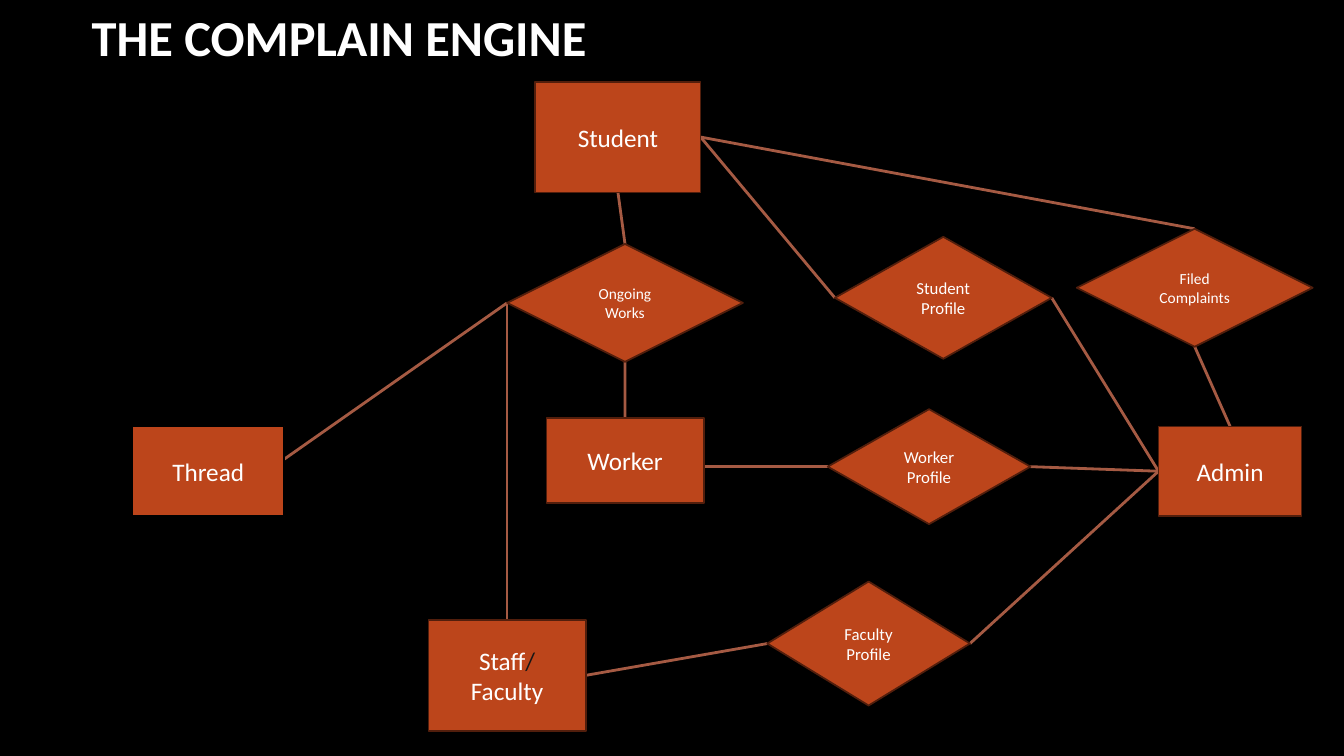
from pptx import Presentation
from pptx.dml.color import RGBColor
from pptx.enum.shapes import MSO_CONNECTOR, MSO_SHAPE
from pptx.enum.text import MSO_ANCHOR, PP_ALIGN
from pptx.oxml.ns import qn
from pptx.util import Inches, Pt
from lxml import etree

RECT, DIAMOND = MSO_SHAPE.RECTANGLE, MSO_SHAPE.DIAMOND
STRAIGHT = MSO_CONNECTOR.STRAIGHT
CENTER, MIDDLE = PP_ALIGN.CENTER, MSO_ANCHOR.MIDDLE
TOP, LEFT, BOTTOM, RIGHT = range(4)
TITLE_ONLY = 5

# Content: boxes are left, top, width, height in percent of the slide
TITLE = "THE COMPLAIN ENGINE"
TITLE_BOX = (-11.4, 0.13, 73.29, 9.47)

ENTITIES = {
    "Admin": (["Admin"], (86.2, 56.4, 10.65, 11.87)),
    "Worker": (["Worker"], (40.66, 55.33, 11.7, 11.2)),
    "Staff": (["Staff/", "Faculty"], (31.88, 82, 11.7, 14.67)),
    "Student": (["Student"], (39.83, 10.8, 12.3, 14.67)),
    "Thread": (["Thread"], (9.83, 56.4, 11.33, 11.87)),
}
RELATIONS = {
    "Filed": (["Filed", "Complaints"], (80.12, 30.27, 17.55, 15.6)),
    "Ongoing": (["Ongoing", "Works"], (37.73, 32.27, 17.55, 15.6)),
    "Student Profile": (["Student Profile"], (62.12, 31.33, 16.13, 16.13)),
    "Worker Profile": (["Worker Profile"], (61.59, 54.13, 15.08, 15.2)),
    "Faculty Profile": (["Faculty Profile"], (57.09, 76.93, 15.08, 16.4)),
}

# Each end is a (shape, side) pair, or a free point in percent of the slide
LINKS = [
    (("Ongoing", LEFT), (20.78, 61.2)),
    (("Ongoing", LEFT), ("Staff", TOP)),
    (("Student", BOTTOM), ("Ongoing", TOP)),
    (("Ongoing", BOTTOM), ("Worker", TOP)),
    (("Filed", TOP), ("Student", RIGHT)),
    (("Filed", BOTTOM), ("Admin", TOP)),
    (("Student", RIGHT), ("Student Profile", LEFT)),
    (("Student Profile", RIGHT), ("Admin", LEFT)),
    ((52.14, 61.73), ("Worker Profile", LEFT)),
    (("Worker Profile", RIGHT), ("Admin", LEFT)),
    (("Staff", RIGHT), ("Faculty Profile", LEFT)),
    (("Faculty Profile", RIGHT), ("Admin", LEFT)),
]


class Theme:
    font = "Calibri"
    back = RGBColor(0x00, 0x00, 0x00)
    text = RGBColor(0xFF, 0xFF, 0xFF)
    slash = RGBColor(0x16, 0x16, 0x16)
    fill = RGBColor(0xBC, 0x45, 0x1B)
    edge = RGBColor(0x52, 0x1E, 0x0C)
    link = RGBColor(0xA5, 0x5A, 0x43)
    title_size, entity_size, profile_size, small_size = 36, 18, 12, 11
    edge_width, link_width = 1.25, 2


prs = Presentation()
prs.slide_width, prs.slide_height = Inches(13.33), Inches(7.5)
s = prs.slides.add_slide(prs.slide_layouts[TITLE_ONLY])
s.background.fill.solid()
s.background.fill.fore_color.rgb = Theme.back


def place(shares):
    """Turn percentages into lengths, alternating across and down."""
    sides = (prs.slide_width, prs.slide_height) * 2
    return [round(side * share / 100) for share, side in zip(shares, sides)]


def write(tf, lines, size, bold=False):
    tf.word_wrap, tf.vertical_anchor = True, MIDDLE
    for i, line in enumerate(lines):
        p = tf.paragraphs[0] if i == 0 else tf.add_paragraph()
        p.alignment = CENTER
        word, slash, _ = line.partition("/")
        for text, color in ((word, Theme.text), (slash, Theme.slash)):
            if text:
                r = p.add_run()
                r.text = text
                r.font.name, r.font.size, r.font.bold = Theme.font, Pt(size), bold
                r.font.color.rgb = color


def add_node(kind, lines, box, size, edge):
    sp = s.shapes.add_shape(kind, *place(box))
    sp.shadow.inherit = False
    sp.fill.solid()
    sp.fill.fore_color.rgb = Theme.fill
    sp.line.color.rgb, sp.line.width = edge, Pt(Theme.edge_width)
    write(sp.text_frame, lines, size)
    return sp


def add_link(start, end):
    points = [place(e) if e[0] not in nodes_text else [0, 0] for e in (start, end)]
    cn = s.shapes.add_connector(STRAIGHT, *points[0], *points[1])
    cn.line.color.rgb, cn.line.width = Theme.link, Pt(Theme.link_width)
    etree.SubElement(cn.element.spPr, qn("a:effectLst"))
    return cn


# Title
title = s.shapes.title
title.left, title.top, title.width, title.height = place(TITLE_BOX)
write(title.text_frame, [TITLE], Theme.title_size, bold=True)

# Links go behind the nodes
nodes_text = {**RELATIONS, **ENTITIES}
links = [add_link(start, end) for start, end in LINKS]

# Relations and entities
nodes = {}
for name, (lines, box) in RELATIONS.items():
    size = Theme.small_size if len(lines) > 1 else Theme.profile_size
    nodes[name] = add_node(DIAMOND, lines, box, size, Theme.edge)
for name, (lines, box) in ENTITIES.items():
    edge = Theme.back if name == "Thread" else Theme.edge
    nodes[name] = add_node(RECT, lines, box, Theme.entity_size, edge)

# Join the links to the nodes
for cn, ends in zip(links, LINKS):
    for join, (name, side) in zip((cn.begin_connect, cn.end_connect), ends):
        if name in nodes:
            join(nodes[name], side)

prs.save("out.pptx")
